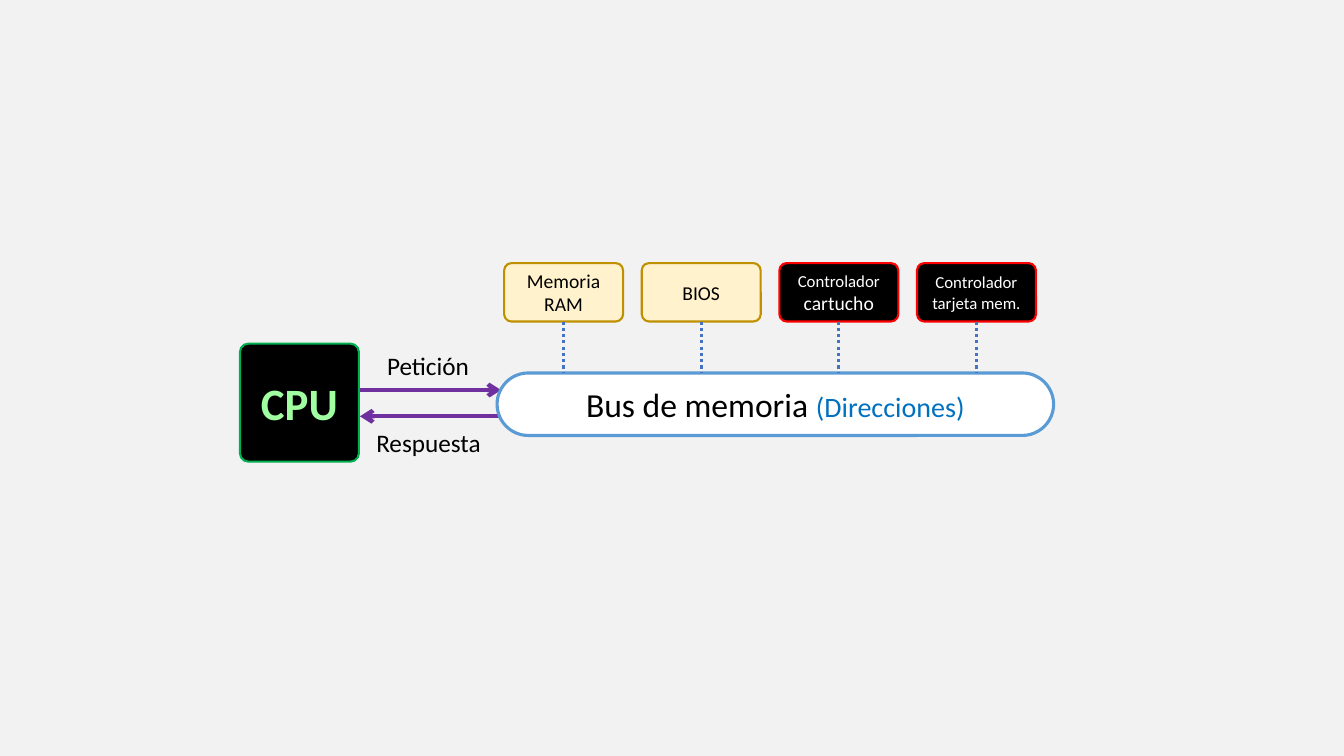
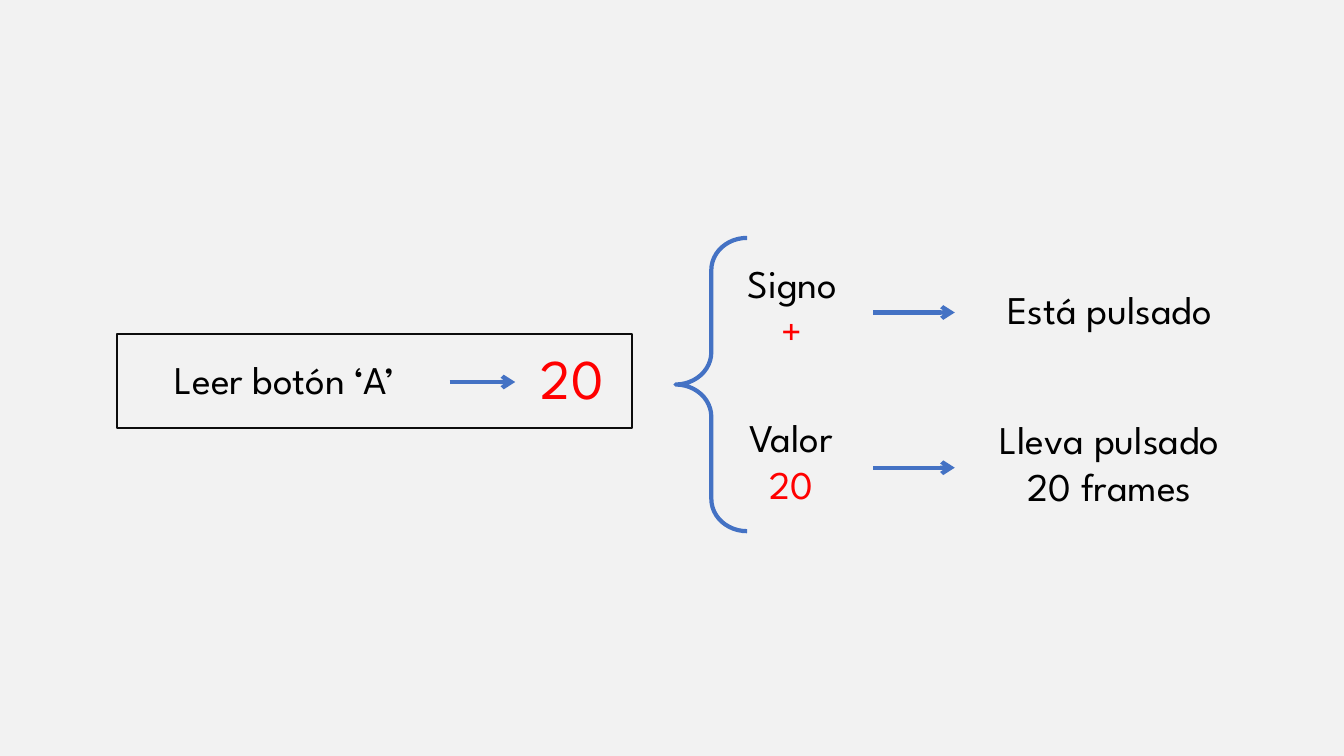
from pptx import Presentation
from pptx.dml.color import RGBColor
from pptx.enum.dml import MSO_LINE
from pptx.enum.shapes import MSO_CONNECTOR, MSO_SHAPE as SHAPE
from pptx.enum.text import MSO_ANCHOR, PP_ALIGN
from pptx.oxml.xmlchemy import OxmlElement as Element
from pptx.util import Inches, Pt

# Shared colours and fonts
GREY = RGBColor(0xF2, 0xF2, 0xF2)
BLACK = RGBColor(0, 0, 0)
INK = RGBColor(0x0D, 0x0D, 0x0D)
WHITE = RGBColor(0xFF, 0xFF, 0xFF)
RED = RGBColor(0xFF, 0, 0)
GREEN = RGBColor(0, 0xB0, 0x50)
LIME = RGBColor(0xA0, 0xFF, 0xA0)
CREAM = RGBColor(0xFF, 0xF2, 0xCC)
GOLD = RGBColor(0xBF, 0x90, 0)
PURPLE = RGBColor(0x70, 0x30, 0xA0)
BLUE = RGBColor(0x44, 0x72, 0xC4)
SKY = RGBColor(0x5B, 0x9B, 0xD5)
AZURE = RGBColor(0, 0x70, 0xC0)
SANS, SPARTAN = "Calibri", "League Spartan"


def add_box(slide, at, lines=(), font=SANS, kind=None, fill=None, edge=None,
            width=1.5, round_by=None):
    """Add a shape, or a text box if no kind is given; lines hold text, size, colour."""
    place = [Inches(n) for n in at]
    if kind is None:
        box = slide.shapes.add_textbox(*place)
    else:
        box = slide.shapes.add_shape(kind, *place)
        box.shadow.inherit = False
        if fill is None:
            box.fill.background()
        else:
            box.fill.solid()
            box.fill.fore_color.rgb = fill
        box.line.color.rgb = edge
        box.line.width = Pt(width)
        if round_by is not None:
            box.adjustments[0] = round_by
    frame = box.text_frame
    frame.word_wrap = True
    frame.vertical_anchor = MSO_ANCHOR.MIDDLE
    for i, (text, size, colour) in enumerate(lines):
        para = frame.add_paragraph() if i else frame.paragraphs[0]
        para.text = text
        para.alignment = PP_ALIGN.CENTER
        para.font.name = font
        para.font.size = Pt(size)
        para.font.color.rgb = colour
    return box


def add_line(slide, start, end, colour, width=3, arrow=True):
    """Add a straight line, with an arrowhead at its end if wanted."""
    ends = [Inches(n) for n in (*start, *end)]
    line = slide.shapes.add_connector(MSO_CONNECTOR.STRAIGHT, *ends)
    line.line.color.rgb = colour
    line.line.width = Pt(width)
    if arrow:
        head = Element("a:tailEnd")
        head.set("type", "arrow")
        line.line._get_or_add_ln().append(head)
    line._element.spPr.append(Element("a:effectLst"))
    return line


prs = Presentation()
prs.slide_width, prs.slide_height = Inches(13.33), Inches(7.5)
back = prs.slide_master.background.fill
back.solid()
back.fore_color.rgb = GREY
blank = prs.slide_layouts[6]

# Slide 1: memory bus
slide = prs.slides.add_slide(blank)
cpu = add_box(slide, (2.38, 3.41, 1.18, 1.17), [("CPU", 32, LIME)],
              kind=SHAPE.ROUNDED_RECTANGLE, fill=BLACK, edge=GREEN, round_by=0.07)
cpu.text_frame.paragraphs[0].font.bold = True

# Request and reply
add_box(slide, (3.65, 3.43, 1.19, 0.4), [("Petición", 18, BLACK)])
add_box(slide, (3.58, 4.19, 1.34, 0.4), [("Respuesta", 18, BLACK)])
add_line(slide, (3.57, 3.87), (4.97, 3.87), PURPLE)
add_line(slide, (4.96, 4.13), (3.57, 4.13), PURPLE)

bus = add_box(slide, (4.93, 3.7, 5.52, 0.62), [("Bus de memoria ", 24, BLACK)],
              kind=SHAPE.ROUNDED_RECTANGLE, fill=WHITE, edge=SKY, width=2.25,
              round_by=0.5)
note = bus.text_frame.paragraphs[0].add_run()
note.text = "(Direcciones)"
note.font.size = Pt(20)
note.font.color.rgb = AZURE

# Devices on the bus
chips = [
    ([("Memoria RAM", 14, BLACK)], CREAM, GOLD),
    ([("BIOS", 14, BLACK)], CREAM, GOLD),
    ([("Controlador", 12, WHITE), ("cartucho", 14, WHITE)], BLACK, RED),
    ([("Controlador tarjeta mem.", 12, WHITE)], BLACK, RED),
]
for i, (lines, fill, edge) in enumerate(chips):
    left = 5 + 1.365 * i
    chip = add_box(slide, (left, 2.61, 1.18, 0.58), lines, fill=fill, edge=edge,
                   kind=SHAPE.ROUNDED_RECTANGLE, round_by=0.125)
    mid = left + 0.59
    link = add_line(slide, (mid, 3.19), (mid, 3.7), BLUE, 2.25, arrow=False)
    link.line.dash_style = MSO_LINE.ROUND_DOT
    link.begin_connect(chip, 2)

# Slide 2: reading a button
slide = prs.slides.add_slide(blank)
add_box(slide, (1.16, 3.31, 5.11, 0.94), kind=SHAPE.RECTANGLE, edge=INK)
add_box(slide, (1.23, 3.47, 3.18, 0.57), [("Leer botón ‘A’", 28, BLACK)], SPARTAN)
add_line(slide, (4.46, 3.79), (5.11, 3.79), BLUE)
add_box(slide, (5.12, 3.36, 1.11, 0.77), [("20", 40, RED)], SPARTAN)

brace = add_box(slide, (6.7, 2.36, 0.71, 2.91), kind=SHAPE.LEFT_BRACE, edge=BLUE,
                width=3, round_by=0.45)
brace.adjustments[1] = 0.5

# Sign and value, with their meaning
rows = [
    (7.09, 1.54, 3.04, 3.1, "Signo", "+", ["Está pulsado"]),
    (6.99, 1.71, 4.57, 4.64, "Valor", "20", ["Lleva pulsado", "20 frames"]),
]
for left, width, mid, level, name, value, sense in rows:
    add_box(slide, (left, mid - 0.52, width, 1.04),
            [(name, 28, BLACK), (value, 28, RED)], SPARTAN)
    add_line(slide, (8.66, level), (9.47, level), BLUE)
    add_box(slide, (9.49, mid - 0.5, 3.03, 1.04),
            [(text, 28, BLACK) for text in sense], SPARTAN)

prs.save("out.pptx")
